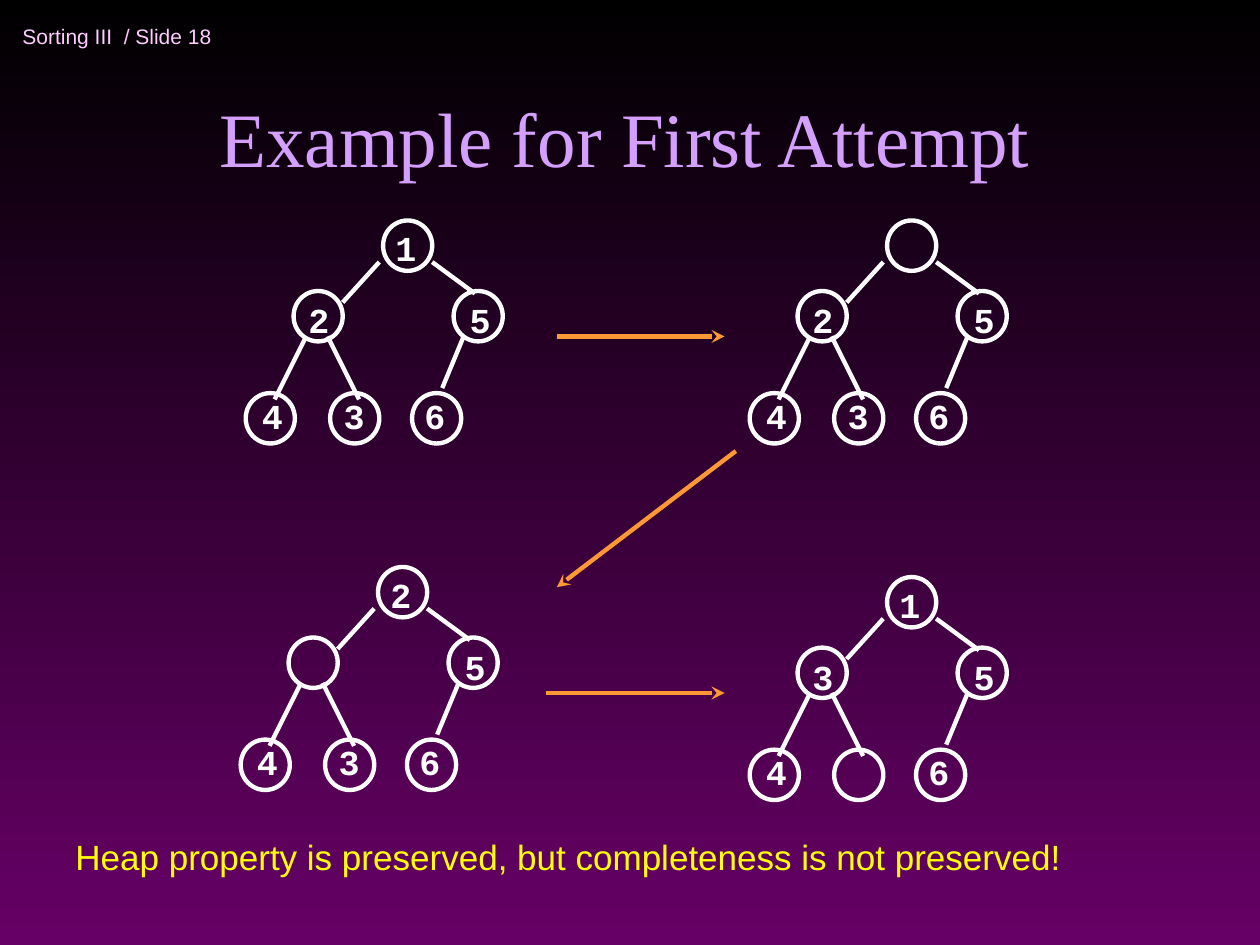
from dataclasses import dataclass

from pptx import Presentation
from pptx.dml.color import RGBColor as Rgb
from pptx.enum.shapes import MSO_CONNECTOR as Connector, MSO_SHAPE as Shape
from pptx.enum.text import MSO_ANCHOR as Anchor, MSO_AUTO_SIZE as AutoSize, PP_ALIGN as Align
from pptx.oxml.ns import qn
from pptx.util import Inches, Pt
from lxml.etree import SubElement


@dataclass(frozen=True)
class Theme:
    sky: Rgb = Rgb.from_string("000000")
    ground: Rgb = Rgb.from_string("660066")
    tree: Rgb = Rgb.from_string("FFFFFF")
    arrow: Rgb = Rgb.from_string("FF9933")
    stroke: Pt = Pt(2.5)
    header = {"name": "Arial", "size": Pt(12), "color": Rgb.from_string("FFCCFF")}
    title = {"name": "Times New Roman", "size": Pt(44), "color": Rgb.from_string("D49FFF")}
    label = {"name": "Courier New", "size": Pt(20), "color": tree, "bold": True}
    note = {"name": "Arial", "size": Pt(20), "color": Rgb.from_string("FFFF00")}


theme = Theme()
deck = Presentation()
deck.slide_width, deck.slide_height = Inches(10), Inches(7.5)
page = deck.slides.add_slide(deck.slide_layouts[6])

# The page is a grid of 10 columns by 7.5 rows.
COLUMN = deck.slide_width / 10
ROW = deck.slide_height / 7.5


def add_text(shapes, text, area, style, anchor=Anchor.TOP, align=Align.LEFT, wrap=True,
             auto_size=AutoSize.NONE):
    left, top, width, height = area
    box = shapes.add_textbox(int(left * COLUMN), int(top * ROW),
                             int(width * COLUMN), int(height * ROW))
    frame = box.text_frame
    frame_format = {"word_wrap": wrap, "auto_size": auto_size, "vertical_anchor": anchor}
    for name, value in frame_format.items():
        setattr(frame, name, value)
    para = frame.paragraphs[0]
    para.alignment = align
    span = para.add_run()
    span.text = text
    for name, value in style.items():
        if name == "color":
            span.font.color.rgb = value
        else:
            setattr(span.font, name, value)


def add_line(shapes, start, end, color, arrowhead=False):
    (x1, y1), (x2, y2) = start, end
    line = shapes.add_connector(Connector.STRAIGHT, int(x1 * COLUMN), int(y1 * ROW),
                                int(x2 * COLUMN), int(y2 * ROW))
    line.line.color.rgb = color
    line.line.width = theme.stroke
    properties = line._element.spPr
    if arrowhead:
        SubElement(properties.find(qn("a:ln")), qn("a:tailEnd"), type="stealth")
    SubElement(properties, qn("a:effectLst"))


# Background
fill = page.background.fill
fill.gradient()
fill.gradient_angle = 270
for stop, color in zip(fill.gradient_stops, (theme.sky, theme.ground)):
    stop.color.rgb = color

# Headings
add_text(page.shapes, "Sorting III  / Slide 18", (0.08, 0.08, 2.75, 0.42), theme.header,
         anchor=Anchor.MIDDLE)
add_text(page.shapes, "Example for First Attempt", (0.67, 0.25, 8.58, 1.25), theme.title,
         anchor=Anchor.BOTTOM, align=Align.CENTER)

# Heap trees: offsets from the left of the leaves and the top of the root, level by level
NODE_SIZE = (0.39, 0.4)
LABEL_SIZE = (0.36, 0.44)
nodes = [(1.09, 0), (0.38, 0.56), (1.65, 0.56), (0, 1.37), (0.67, 1.37), (1.32, 1.37)]
labels = [(1.09, 0), (0.4, 0.57), (1.68, 0.57), (0.03, 1.33), (0.68, 1.33), (1.32, 1.33)]
edges = [
    ((1.06, 0.33), (0.77, 0.65)),
    ((1.48, 0.33), (1.82, 0.58)),
    ((0.48, 0.92), (0.23, 1.42)),
    ((0.65, 0.92), (0.9, 1.42)),
    ((1.73, 0.92), (1.56, 1.33)),
]
trees = [  # left, top, keys with a space for the hole
    (1.95, 1.75, "125436"),
    (5.95, 1.75, " 25436"),
    (1.91, 4.5, "2 5436"),
    (5.95, 4.58, "1354 6"),
]
for left, top, keys in trees:
    tree = page.shapes.add_group_shape().shapes
    for x, y in nodes:
        node = tree.add_shape(Shape.OVAL, int((left + x) * COLUMN), int((top + y) * ROW),
                              int(NODE_SIZE[0] * COLUMN), int(NODE_SIZE[1] * ROW))
        node.shadow.inherit = False
        node.fill.background()
        node.line.color.rgb = theme.tree
        node.line.width = theme.stroke
    for start, end in edges:
        add_line(tree, (left + start[0], top + start[1]), (left + end[0], top + end[1]),
                 theme.tree)
    for key, (x, y) in zip(keys, labels):
        if key != " ":
            add_text(tree, key, (left + x, top + y, *LABEL_SIZE), theme.label, wrap=False,
                     auto_size=AutoSize.SHAPE_TO_FIT_TEXT)

# Conclusion and the order of the steps
add_text(page.shapes, "Heap property is preserved, but completeness is not preserved!",
         (0.5, 6.58, 8.5, 0.44), theme.note, auto_size=AutoSize.SHAPE_TO_FIT_TEXT)
steps = [((4.42, 2.67), (5.75, 2.67)), ((5.84, 3.58), (4.42, 4.66)), ((4.33, 5.5), (5.75, 5.5))]
for start, end in steps:
    add_line(page.shapes, start, end, theme.arrow, arrowhead=True)

deck.save("out.pptx")
